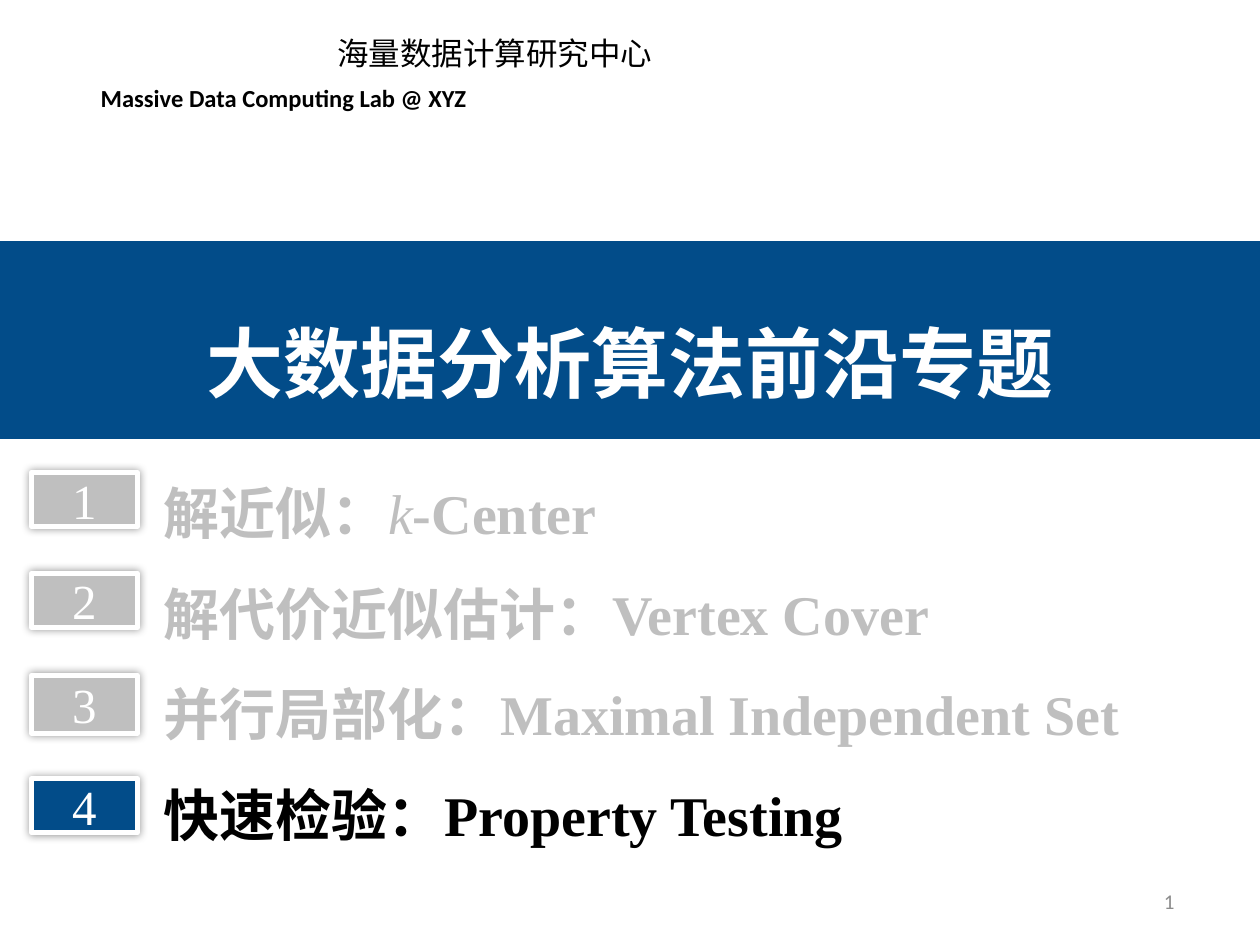
"""Build the agenda slide for the big data algorithms course."""
from lxml import etree
from pptx import Presentation, util as u
from pptx.dml.color import RGBColor
from pptx.enum import shapes, text
from pptx.oxml import parse_xml
from pptx.oxml.ns import nsdecls, qn

BLUE = RGBColor(0x02, 0x4C, 0x89)
GREY = RGBColor(0xBF, 0xBF, 0xBF)
PAGE_GREY = RGBColor(0x8C, 0x8C, 0x8C)
WHITE = RGBColor(255, 255, 255)
BLACK = RGBColor(0, 0, 0)
SERIF, SANS, CJK = "Times New Roman", "Calibri", "Noto Sans CJK SC"

TITLE = "大数据分析算法前沿专题"
HEADERS = [
    ("海量数据计算研究中心", (2.58, 0.22, 2.99, 0.4), 18, "Noto Sans CJK JP", False),
    ("Massive Data Computing Lab @ XYZ", (0.7, 0.61, 3.95, 0.34), 14, SANS, True),
]
TOPICS = [
    (["解近似：", "k", "-Center"], GREY, GREY, 3.75, 0.43),
    (["解代价近似估计：Vertex Cover"], GREY, GREY, 4.55, 0.43),
    (["并行局部化：Maximal Independent Set"], GREY, GREY, 5.36, 0.46),
    (["快速检验：Property Testing"], BLACK, BLUE, 6.18, 0.43),
]
SHADOW = (f'<a:effectLst {nsdecls("a")}><a:outerShdw blurRad="63500" dist="0" dir="0">'
          '<a:srgbClr val="000000"><a:alpha val="40000"/></a:srgbClr>'
          '</a:outerShdw></a:effectLst>')


def style(r, size, font, color, bold=False, italic=False, east=CJK):
    f = r.font
    f.size, f.name, f.bold, f.italic = u.Pt(size), font, bold, italic
    f.color.rgb = color
    ea = etree.Element(qn("a:ea"), typeface=east)
    r.font._element.find(qn("a:latin")).addnext(ea)


def place(sp, box):
    sp.left, sp.top, sp.width, sp.height = map(u.Inches, box)


def add_text(s, value, box, size, font, color, bold=False):
    tf = s.shapes.add_textbox(*map(u.Inches, box)).text_frame
    tf.word_wrap = True
    p = tf.paragraphs[0]
    p.text = value
    style(p.runs[0], size, font, color, bold, east=font)
    return tf


def add_rect(s, box, fill, line, width):
    sp = s.shapes.add_shape(shapes.MSO_SHAPE.RECTANGLE, *map(u.Inches, box))
    sp.shadow.inherit = False
    sp.fill.solid()
    sp.fill.fore_color.rgb = fill
    sp.line.color.rgb = line
    sp.line.width = u.Pt(width)
    return sp


def add_badge(s, number, fill, top, height):
    sp = add_rect(s, (0.25, top, 0.84, height), fill, WHITE, 3)
    spPr = sp._element.spPr
    spPr.replace(spPr.find(qn("a:effectLst")), parse_xml(SHADOW))
    tf = sp.text_frame
    tf.vertical_anchor = text.MSO_ANCHOR.MIDDLE
    p = tf.paragraphs[0]
    p.text = str(number)
    p.alignment = text.PP_ALIGN.CENTER
    style(p.runs[0], 28, SERIF, WHITE)


def fill_title(sp):
    place(sp, (0, 2.16, 10, 0.98))
    tf = sp.text_frame
    tf.text = TITLE
    tf.auto_size = text.MSO_AUTO_SIZE.NONE
    tf.vertical_anchor = text.MSO_ANCHOR.TOP
    p = tf.paragraphs[0]
    p.alignment = text.PP_ALIGN.CENTER
    p.line_spacing = 1.4
    style(p.runs[0], 44, CJK, WHITE, True)


def fill_topics(sp):
    place(sp, (1.2, 3.48, 8.8, 3.23))
    tf = sp.text_frame
    tf.auto_size = text.MSO_AUTO_SIZE.NONE
    for i, (parts, color, *_) in enumerate(TOPICS):
        p = tf.add_paragraph() if i else tf.paragraphs[0]
        p.line_spacing = 1.5
        p.space_before = u.Pt(0)
        pPr = p._p.get_or_add_pPr()
        pPr.set("marL", "0")
        pPr.set("indent", "0")
        etree.SubElement(pPr, qn("a:buNone"))
        for part in parts:
            r = p.add_run()
            r.text = part
            style(r, 32, SERIF, color, part != "k", part == "k")


def add_page_number(s):
    tf = add_text(s, "1", (7.17, 6.95, 2.25, 0.4), 12, SANS, PAGE_GREY)
    tf.vertical_anchor = text.MSO_ANCHOR.MIDDLE
    p = tf.paragraphs[0]
    p.alignment = text.PP_ALIGN.RIGHT
    r = p.runs[0]._r
    r.tag = qn("a:fld")
    r.set("id", "{B6F15528-21DE-4FAA-801E-634DDDAF4B2B}")
    r.set("type", "slidenum")


def main():
    prs = Presentation()
    prs.slide_width, prs.slide_height = u.Inches(10), u.Inches(7.5)
    s = prs.slides.add_slide(prs.slide_layouts[1])
    title, body = s.placeholders
    band = add_rect(s, (0, 1.92, 10, 1.56), BLUE, BLUE, 1)
    title._element.addprevious(band._element)
    fill_title(title)
    fill_topics(body)
    for value, box, size, font, bold in HEADERS:
        add_text(s, value, box, size, font, BLACK, bold)
    for number, (_, _, fill, top, height) in enumerate(TOPICS, 1):
        add_badge(s, number, fill, top, height)
    add_page_number(s)
    prs.save("out.pptx")


if __name__ == "__main__":
    main()
